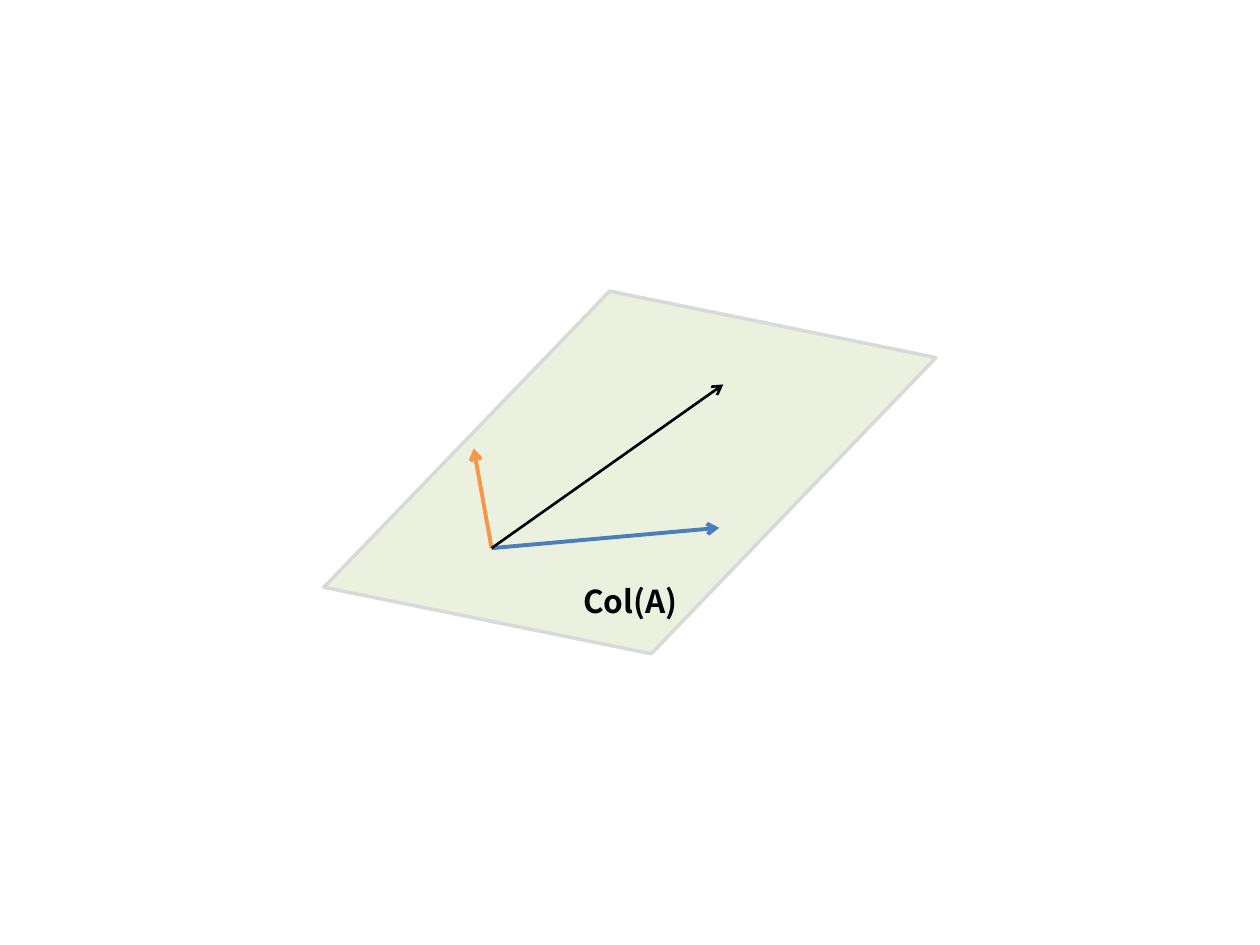
from dataclasses import dataclass

from lxml.etree import SubElement
from pptx import Presentation
from pptx.dml.color import RGBColor
from pptx.enum.shapes import MSO_CONNECTOR
from pptx.enum.text import MSO_AUTO_SIZE
from pptx.oxml.ns import qn
from pptx.util import Cm, Pt


@dataclass(frozen=True)
class Theme:
    plane_fill: RGBColor = RGBColor.from_string("EBF1DE")
    plane_edge: RGBColor = RGBColor.from_string("D9D9D9")
    first_column: RGBColor = RGBColor.from_string("4B7EBC")
    second_column: RGBColor = RGBColor.from_string("F79646")
    ink: RGBColor = RGBColor.from_string("000000")
    font: str = "Noto Sans CJK KR"
    label_size: Pt = Pt(18)
    plane_line: Pt = Pt(2)
    column_line: Pt = Pt(2.25)
    vector_line: Pt = Pt(1.5)


THEME = Theme()
ORIGIN = (9.91, 11.05)
PLANE_CORNERS = [(6.53, 11.84), (13.13, 13.18), (18.87, 7.21), (12.29, 5.87)]


def add_plane(slide, corners):
    points = [(Cm(x), Cm(y)) for x, y in corners]
    builder = slide.shapes.build_freeform(*points[0])
    builder.add_line_segments(points[1:], close=True)
    plane = builder.convert_to_shape()
    plane.shadow.inherit = False
    plane.fill.solid()
    plane.fill.fore_color.rgb = THEME.plane_fill
    plane.line.color.rgb = THEME.plane_edge
    plane.line.width = THEME.plane_line


def add_vector(slide, tip, color, width):
    """Draw an arrow from the common origin to the tip."""
    ends = [Cm(value) for value in ORIGIN + tip]
    vector = slide.shapes.add_connector(MSO_CONNECTOR.STRAIGHT, *ends)
    vector.line.color.rgb = color
    vector.line.width = width
    properties = vector.element.spPr
    SubElement(properties.find(qn("a:ln")), qn("a:tailEnd"), type="arrow")
    SubElement(properties, qn("a:effectLst"))


def add_label(slide, text, left, top, width, height):
    box = slide.shapes.add_textbox(Cm(left), Cm(top), Cm(width), Cm(height))
    frame = box.text_frame
    frame.text = text
    frame.word_wrap = False
    frame.auto_size = MSO_AUTO_SIZE.SHAPE_TO_FIT_TEXT
    font = frame.paragraphs[0].runs[0].font
    font.name = THEME.font
    font.size = THEME.label_size
    font.bold = True
    font.color.rgb = THEME.ink


def main():
    deck = Presentation()
    deck.slide_width, deck.slide_height = Cm(25.4), Cm(19.05)
    slide = deck.slides.add_slide(deck.slide_layouts[6])

    add_plane(slide, PLANE_CORNERS)
    add_vector(slide, (14.5, 10.64), THEME.first_column, THEME.column_line)
    add_vector(slide, (9.55, 9.04), THEME.second_column, THEME.column_line)
    add_vector(slide, (14.58, 7.75), THEME.ink, THEME.vector_line)
    add_label(slide, "Col(A)", 11.51, 11.61, 2.41, 1.02)

    deck.save("out.pptx")


if __name__ == "__main__":
    main()
